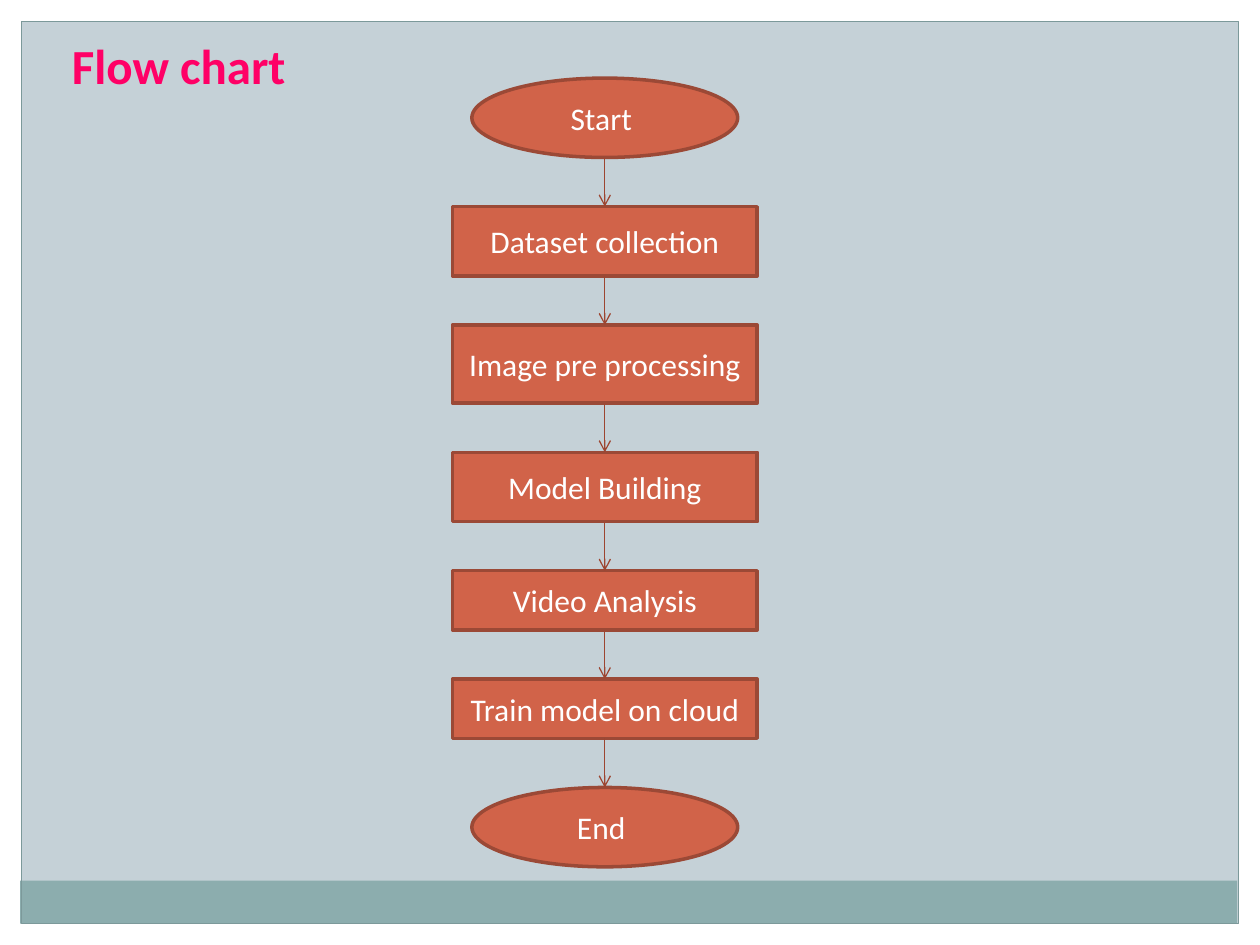
from dataclasses import dataclass

from lxml import etree
from pptx import Presentation
from pptx import util as u
from pptx.dml.color import RGBColor
from pptx.enum import shapes, text
from pptx.oxml.ns import qn


@dataclass(frozen=True)
class Theme:
    font: str = "Calibri"
    back: str = "C5D1D7"
    edge: str = "FFFFFF"
    band: str = "8CADAE"
    frame: str = "7C999A"
    title: str = "FF0066"
    fill: str = "D16349"
    line: str = "9B4936"
    arrow: str = "9D4530"
    label: str = "FFFFFF"
    head: int = 28
    body: int = 18
    thin: float = 0.75
    thick: float = 2


@dataclass(frozen=True)
class Step:
    label: str
    high: float
    round: bool = False


T = Theme()
WIDE, HIGH, RIM = 10, 7.5, 0.17
MID, TOP, GAP = 4.8, 0.62, 0.39
BOX, OVAL = 2.42, 2.11

STEPS = [
    Step("Start ", 0.63, True),
    Step("Dataset collection", 0.55),
    Step("Image pre processing", 0.62),
    Step("Model Building", 0.55),
    Step("Video Analysis", 0.47),
    Step("Train model on cloud", 0.47),
    Step("End ", 0.63, True),
]


def rgb(code: str) -> RGBColor:
    return RGBColor.from_string(code)


def put(slide, kind, at, fill=None, line=None, width=T.thin):
    """Add a flat preset shape; at is left, top, width, height in inches."""
    shape = slide.shapes.add_shape(kind, *map(u.Inches, at))
    shape.shadow.inherit = False
    if fill:
        shape.fill.solid()
        shape.fill.fore_color.rgb = rgb(fill)
    else:
        shape.fill.background()
    if line:
        shape.line.color.rgb = rgb(line)
        shape.line.width = u.Pt(width)
    else:
        shape.line.fill.background()
    return shape


def write(para, words: str, size: int, color: str, bold: bool = False) -> None:
    run = para.add_run()
    run.text = words
    font = run.font
    font.name, font.size, font.bold = T.font, u.Pt(size), bold
    font.color.rgb = rgb(color)


def border(slide) -> None:
    rect = shapes.MSO_SHAPE.RECTANGLE
    for at in (
        (0, HIGH - RIM, WIDE, RIM),
        (0, 0, WIDE, RIM),
        (WIDE - RIM, 0, RIM, HIGH),
        (0, 0, RIM, HIGH),
    ):
        put(slide, rect, at, T.edge)
    put(slide, rect, (0.16, 6.99, 9.66, 0.34), T.band)
    put(slide, rect, (RIM, RIM, WIDE - 2 * RIM, HIGH - 2 * RIM), line=T.frame)


def heading(slide, words: str) -> None:
    title = slide.shapes.title
    title.left, title.top = u.Inches(0.47), u.Inches(0.23)
    title.width, title.height = u.Inches(1.92), u.Inches(0.57)
    frame = title.text_frame
    frame.word_wrap = False
    frame.auto_size = text.MSO_AUTO_SIZE.SHAPE_TO_FIT_TEXT
    frame.vertical_anchor = text.MSO_ANCHOR.TOP
    para = frame.paragraphs[0]
    para.alignment = text.PP_ALIGN.LEFT
    write(para, words, T.head, T.title, True)


def node(slide, step: Step, top: float):
    kind = shapes.MSO_SHAPE.OVAL if step.round else shapes.MSO_SHAPE.RECTANGLE
    wide = OVAL if step.round else BOX
    at = (MID - wide / 2, top, wide, step.high)
    shape = put(slide, kind, at, T.fill, T.line, T.thick)
    frame = shape.text_frame
    frame.word_wrap = True
    frame.vertical_anchor = text.MSO_ANCHOR.MIDDLE
    para = frame.paragraphs[0]
    para.alignment = text.PP_ALIGN.CENTER
    write(para, step.label, T.body, T.label)
    return shape


def arrow(slide, prev, item, oval: bool) -> None:
    """Point from the bottom of prev to the top of item."""
    mid = u.Inches(MID)
    line = slide.shapes.add_connector(
        shapes.MSO_CONNECTOR.STRAIGHT, mid, prev.top + prev.height, mid, item.top
    )
    if not oval:  # site 2 is the bottom of a rectangle only
        line.begin_connect(prev, 2)
    line.end_connect(item, 0)
    line.line.color.rgb = rgb(T.arrow)
    line.line.width = u.Pt(T.thin)
    tail = etree.SubElement(line.line._get_or_add_ln(), qn("a:tailEnd"))
    tail.set("type", "arrow")
    etree.SubElement(line._element.spPr, qn("a:effectLst"))


def flow(slide) -> None:
    top, prev, oval = TOP, None, False
    for step in STEPS:
        item = node(slide, step, top)
        if prev is not None:
            arrow(slide, prev, item, oval)
        prev, oval = item, step.round
        top += step.high + GAP


def main() -> None:
    deck = Presentation()
    deck.slide_width, deck.slide_height = u.Inches(WIDE), u.Inches(HIGH)
    slide = deck.slides.add_slide(deck.slide_layouts[5])
    slide.background.fill.solid()
    slide.background.fill.fore_color.rgb = rgb(T.back)

    # White rim, lower band and thin frame
    border(slide)
    # Title
    heading(slide, "Flow chart")
    # Steps and arrows
    flow(slide)
    deck.save("out.pptx")


if __name__ == "__main__":
    main()
